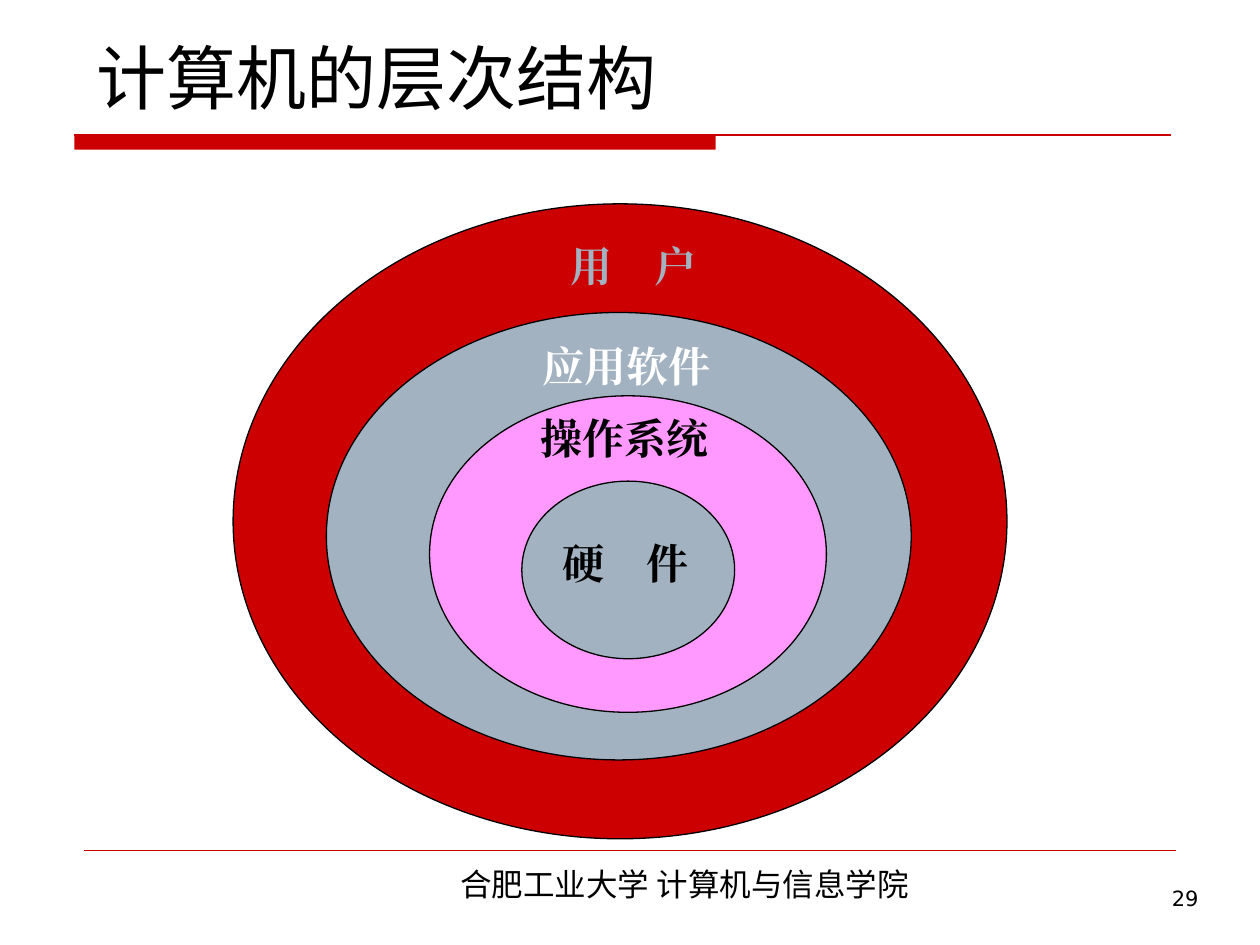
from collections import namedtuple

from lxml import etree
from pptx import Presentation
from pptx import util as u
from pptx.dml.color import RGBColor
from pptx.enum import shapes, text
from pptx.oxml.ns import qn

Box = namedtuple("Box", "left top width height")
COLORS = {"red": "CC0000", "gray": "A3B2C1", "pink": "FF99FF",
          "black": "000000", "white": "FFFFFF"}

# Each ring: ellipse box and label box relative to the diagram (cm)
RINGS = [
    ("用　户", "red", "gray", Box(0, 0, 15.6, 12.8), Box(6.55, 0.61, 3.56, 2.29)),
    ("应用软件", "gray", "white", Box(1.88, 2.19, 11.79, 9.02), Box(5.99, 2.62, 4.6, 1.27)),
    ("操作系统", "pink", "black", Box(3.96, 3.87, 8, 6.38), Box(5.94, 4.09, 4.9, 1.27)),
    ("硬　件", "gray", "black", Box(5.82, 5.59, 4.29, 3.58), Box(6.4, 6.61, 3.3, 2.29)),
]


def rgb(name):
    return RGBColor.from_string(COLORS[name])


def inside(outer, part):
    """Turn a box relative to outer into a box on the slide."""
    return Box(outer.left + part.left, outer.top + part.top, part.width, part.height)


def lengths(box):
    return [u.Cm(value) for value in box]


def add_label(slide, box, content, size, font, color="black", bold=False,
              align=text.PP_ALIGN.LEFT, anchor=text.MSO_ANCHOR.TOP):
    frame = slide.shapes.add_textbox(*lengths(box)).text_frame
    frame.word_wrap = True
    frame.vertical_anchor = anchor
    paragraph = frame.paragraphs[0]
    paragraph.alignment = align
    run = paragraph.add_run()
    run.text = content
    run.font.size = u.Pt(size)
    run.font.bold = bold
    run.font.color.rgb = rgb(color)
    run.font.name = font
    east_asian = etree.SubElement(run.font._element, qn("a:ea"))
    east_asian.set("typeface", font)


def add_shape(slide, kind, box, fill, line):
    shape = slide.shapes.add_shape(kind, *lengths(box))
    shape.shadow.inherit = False
    shape.fill.solid()
    shape.fill.fore_color.rgb = rgb(fill)
    if line:
        shape.line.color.rgb = rgb(line)
        shape.line.width = u.Pt(0.75)
    else:
        shape.line.fill.background()


def add_rule(slide, left, top, width, weight):
    """Draw a horizontal red line."""
    line = slide.shapes.add_connector(
        shapes.MSO_CONNECTOR.STRAIGHT,
        u.Cm(left), u.Cm(top), u.Cm(left + width), u.Cm(top))
    line.line.color.rgb = rgb("red")
    line.line.width = u.Pt(weight)
    etree.SubElement(line._element.spPr, qn("a:effectLst"))


def add_header(slide, box):
    rule_top = box.top + 2.39
    band = Box(box.left, rule_top, 12.93, 0.3)
    add_shape(slide, shapes.MSO_SHAPE.RECTANGLE, band, "red", None)
    add_rule(slide, box.left, rule_top, box.width, 0.75)
    add_label(slide, inside(box, Box(0.2, 0, 22.23, 2.18)), "计算机的层次结构",
              40, "DejaVu Sans", anchor=text.MSO_ANCHOR.BOTTOM)


def add_rings(slide, box):
    for label, fill, color, ellipse, label_box in RINGS:
        add_shape(slide, shapes.MSO_SHAPE.OVAL, inside(box, ellipse), fill, "black")
        add_label(slide, inside(box, label_box), label, 24, "Times New Roman",
                  color, bold=True)


def add_footer(slide, box):
    add_rule(slide, box.left, box.top, box.width, 0.25)
    add_label(slide, inside(box, Box(4.4, 0.18, 15.4, 1.02)),
              "合肥工业大学 计算机与信息学院", 18, "Noto Sans CJK SC",
              align=text.PP_ALIGN.CENTER)
    add_label(slide, inside(box, Box(17.2, 0.59, 5.51, 1.32)), "29", 12,
              "DejaVu Sans", align=text.PP_ALIGN.RIGHT)


def main():
    presentation = Presentation()
    presentation.slide_width = u.Cm(25.4)
    presentation.slide_height = u.Cm(19.05)
    slide = presentation.slides.add_slide(presentation.slide_layouts[6])
    add_header(slide, Box(1.5, 0.33, 22.1, 2.69))
    add_footer(slide, Box(1.7, 17.14, 22, 1.91))
    add_rings(slide, Box(4.7, 4.11, 15.6, 12.8))
    presentation.save("out.pptx")


if __name__ == "__main__":
    main()
